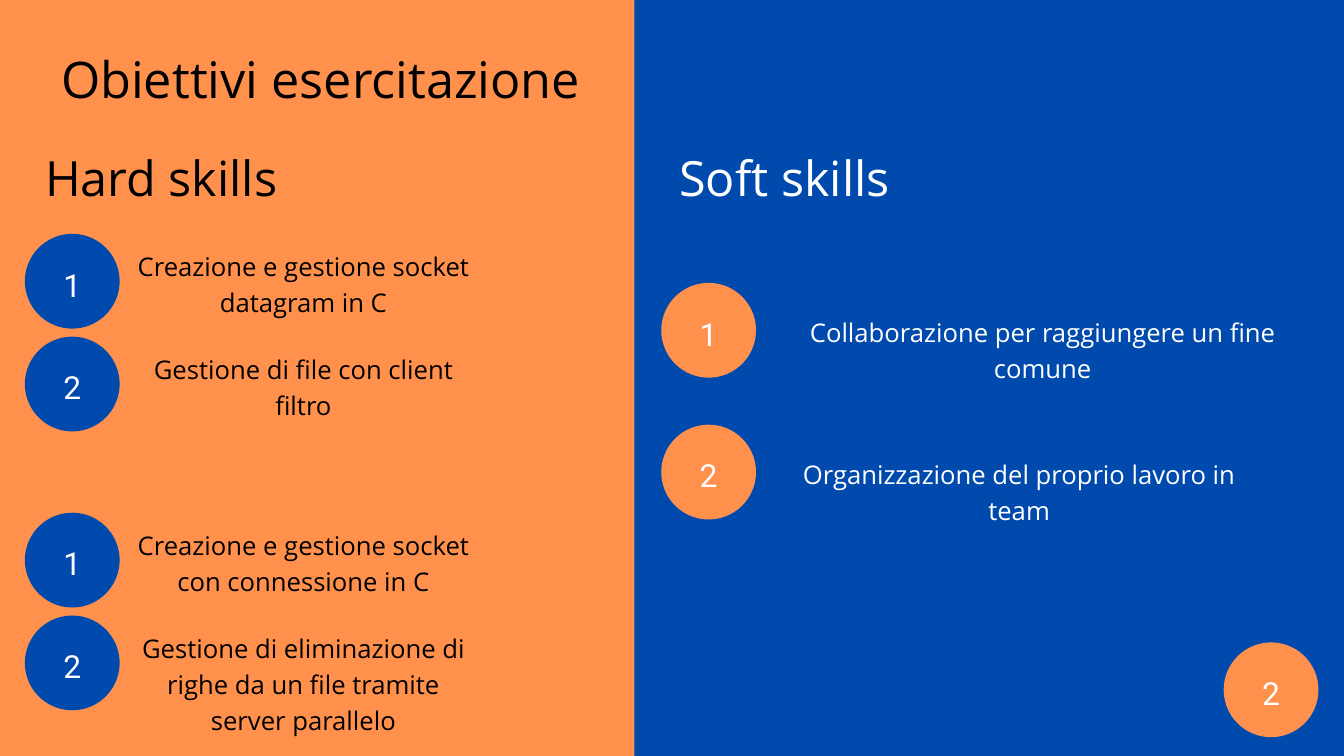
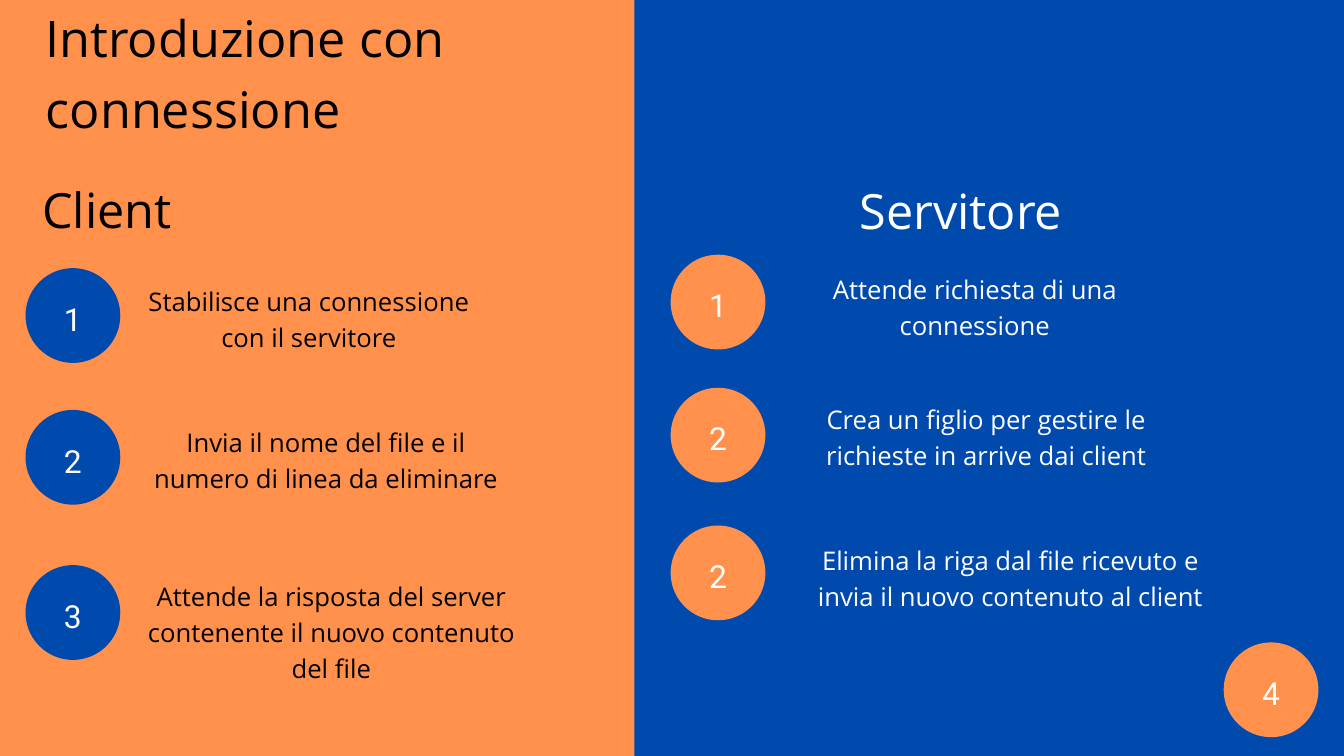
from pptx import Presentation
from pptx.dml.color import RGBColor
from pptx.enum.shapes import MSO_SHAPE
from pptx.enum.text import MSO_ANCHOR, MSO_AUTO_SIZE, PP_ALIGN
from pptx.util import Emu, Pt

EMU_PER_PX = 9144
SLIDE_WIDTH, SLIDE_HEIGHT = 2000, 1125
PANEL_LEFT = 944
BADGE_SIZE = 141
PAGE_BADGE = (1821, 956)

ORANGE = RGBColor(0xFF, 0x91, 0x4D)
BLUE = RGBColor(0x00, 0x4A, 0xAD)
BLACK = RGBColor(0x00, 0x00, 0x00)
WHITE = RGBColor(0xFF, 0xFF, 0xFF)

TEXT_FONT = "Open Sans"
NUMBER_FONT = "Roboto"

SLIDES = [
    {
        "title": ("Obiettivi esercitazione", (36, 56, 883, 101), PP_ALIGN.CENTER),
        "page": "2",
        "columns": [
            {
                "heading": ("Hard skills", (67, 206, 346, 96)),
                "colors": (BLUE, BLACK),
                "badge_left": 37,
                "items": [
                    ("1", 348, "Creazione e gestione socket datagram in C", (198, 366, 507, 106)),
                    ("2", 501, "Gestione di file con client filtro", (198, 519, 507, 106)),
                    ("1", 763, "Creazione e gestione socket con connessione in C", (198, 781, 507, 106)),
                    ("2", 916, "Gestione di eliminazione di righe da un file tramite server parallelo",
                     (198, 934, 507, 160)),
                ],
            },
            {
                "heading": ("Soft skills", (1000, 206, 335, 96)),
                "colors": (ORANGE, WHITE),
                "badge_left": 984,
                "items": [
                    ("1", 421, "Collaborazione per raggiungere un fine comune", (1141, 464, 821, 106)),
                    ("2", 632, "Organizzazione del proprio lavoro in team", (1156, 675, 721, 106)),
                ],
            },
        ],
    },
    {
        "title": ("Introduzione con connessione", (68, -4, 900, 206), PP_ALIGN.LEFT),
        "page": "4",
        "columns": [
            {
                "heading": ("Client", (52, 253, 214, 96)),
                "colors": (BLUE, BLACK),
                "badge_left": 38,
                "items": [
                    ("1", 399, "Stabilisce una connessione con il servitore", (209, 417, 501, 106)),
                    ("2", 610, "Invia il nome del file e il numero di linea da eliminare", (209, 627, 552, 106)),
                    ("3", 841, "Attende la risposta del server contenente il nuovo contenuto del file",
                     (209, 857, 568, 160)),
                ],
            },
            {
                "heading": ("Servitore", (997, 255, 866, 96)),
                "colors": (ORANGE, WHITE),
                "badge_left": 998,
                "items": [
                    ("1", 379, "Attende richiesta di una connessione", (1208, 399, 485, 106)),
                    ("2", 577, "Crea un figlio per gestire le richieste in arrive dai client", (1172, 593, 591, 106)),
                    ("2", 782, "Elimina la riga dal file ricevuto e invia il nuovo contenuto al client",
                     (1208, 803, 591, 106)),
                ],
            },
        ],
    },
]


def px(*lengths):
    return [Emu(length * EMU_PER_PX) for length in lengths]


def write(frame, wording, size, leading, color, font=TEXT_FONT,
          align=PP_ALIGN.CENTER, anchor=MSO_ANCHOR.TOP):
    frame.word_wrap = True
    frame.auto_size = MSO_AUTO_SIZE.NONE
    frame.vertical_anchor = anchor
    frame.margin_left = frame.margin_top = frame.margin_right = frame.margin_bottom = 0
    frame.text = wording
    paragraph = frame.paragraphs[0]
    paragraph.alignment = align
    paragraph.line_spacing = Pt(leading)
    paragraph.font.size = Pt(size)
    paragraph.font.name = font
    paragraph.font.color.rgb = color


def add_filled(slide, preset, box, color):
    shape = slide.shapes.add_shape(preset, *px(*box))
    shape.shadow.inherit = False
    shape.fill.solid()
    shape.fill.fore_color.rgb = color
    shape.line.fill.background()
    return shape


def add_title(slide, wording, box, align):
    title = slide.shapes.title
    title.left, title.top, title.width, title.height = px(*box)
    write(title.text_frame, wording, 54, 75.6, BLACK, align=align)


def add_badge(slide, number, left, top, color):
    badge = add_filled(slide, MSO_SHAPE.OVAL, (left, top, BADGE_SIZE, BADGE_SIZE), color)
    write(badge.text_frame, number, 34, 47.6, WHITE, NUMBER_FONT, anchor=MSO_ANCHOR.MIDDLE)


def add_label(slide, wording, box, size, leading, color):
    label = slide.shapes.add_textbox(*px(*box))
    write(label.text_frame, wording, size, leading, color)


def add_column(slide, heading, colors, badge_left, items):
    badge_color, text_color = colors
    add_label(slide, *heading, 52, 72.8, text_color)
    for number, badge_top, wording, box in items:
        add_badge(slide, number, badge_left, badge_top, badge_color)
        add_label(slide, wording, box, 27.5, 38.6, text_color)


def add_split_slide(deck, title, page, columns):
    slide = deck.slides.add_slide(deck.slide_layouts[5])
    add_title(slide, *title)
    add_filled(slide, MSO_SHAPE.RECTANGLE,
               (PANEL_LEFT, 0, SLIDE_WIDTH - PANEL_LEFT, SLIDE_HEIGHT), BLUE)
    add_badge(slide, page, *PAGE_BADGE, ORANGE)
    for column in columns:
        add_column(slide, **column)


def main():
    deck = Presentation()
    deck.slide_width, deck.slide_height = px(SLIDE_WIDTH, SLIDE_HEIGHT)
    background = deck.slide_master.background.fill
    background.solid()
    background.fore_color.rgb = ORANGE
    for content in SLIDES:
        add_split_slide(deck, **content)
    deck.save("out.pptx")


if __name__ == "__main__":
    main()
